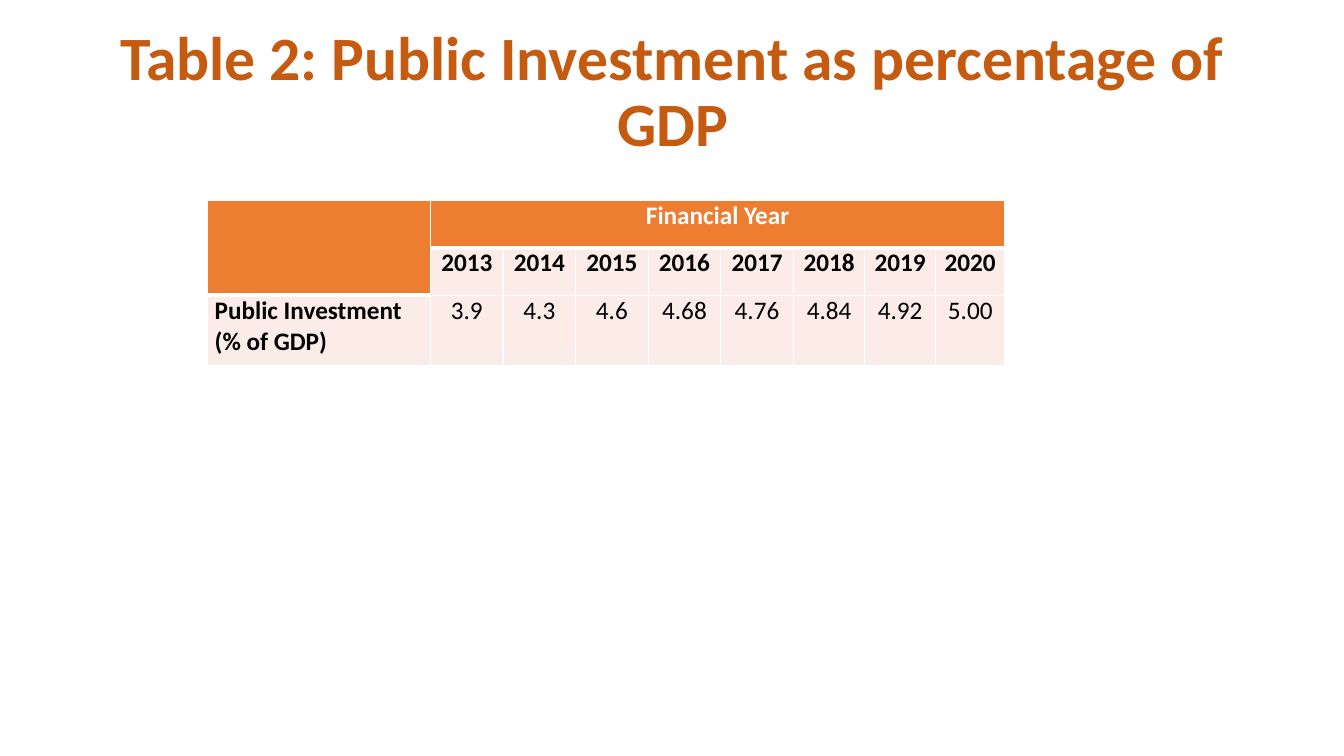
from pptx import Presentation
from pptx.dml.color import RGBColor
from pptx.enum.text import MSO_ANCHOR, MSO_AUTO_SIZE, PP_ALIGN
from pptx.oxml import parse_xml
from pptx.oxml.ns import nsdecls
from pptx.util import Inches, Pt

FONT = "Calibri"
COLORS = {
    "title": "C55A11",
    "header": "ED7D31",
    "band": "FCECE8",
    "white": "FFFFFF",
    "black": "000000",
}
YEARS = [str(year) for year in range(2013, 2021)]
INVESTMENT = ["3.9", "4.3", "4.6", "4.68", "4.76", "4.84", "4.92", "5.00"]
COL_WIDTHS = [2.21] + [0.72] * 5 + [0.71, 0.7, 0.69]
ROW_HEIGHTS = [0.47, 0.47, 0.7]


def rgb(name):
    return RGBColor.from_string(COLORS[name])


def format_text(tf, size, color, bold, align):
    p = tf.paragraphs[0]
    p.alignment = align
    for r in p.runs:
        r.font.name = FONT
        r.font.size = Pt(size)
        r.font.bold = bold
        r.font.color.rgb = rgb(color)


def add_title(s, text):
    title = s.shapes.title
    title.left, title.top = Inches(0.92), Inches(0.54)
    title.width, title.height = Inches(11.5), Inches(1.45)
    tf = title.text_frame
    tf.text = text
    tf.word_wrap = True
    tf.auto_size = MSO_AUTO_SIZE.NONE
    tf.vertical_anchor = MSO_ANCHOR.MIDDLE
    tf.margin_bottom = Inches(0.72)  # lifts the text above the table
    tf.paragraphs[0].line_spacing = 0.9
    format_text(tf, 44, "title", True, PP_ALIGN.CENTER)


def set_borders(cell, bottom):
    tcPr = cell._tc.get_or_add_tcPr()
    widths = {"lnL": 1, "lnR": 1, "lnT": 1, "lnB": bottom}
    for i, (side, width) in enumerate(widths.items()):
        tcPr.insert(i, parse_xml(
            f'<a:{side} {nsdecls("a")} w="{Pt(width)}"><a:solidFill>'
            f'<a:srgbClr val="{COLORS["white"]}"/></a:solidFill></a:{side}>'))


def fill_cell(cell, text, fill, color="black", bold=True,
              align=PP_ALIGN.CENTER, bottom=1):
    cell.fill.solid()
    cell.fill.fore_color.rgb = rgb(fill)
    cell.margin_left = cell.margin_right = Inches(0.07)
    cell.margin_top = cell.margin_bottom = 0
    cell.text_frame.text = text
    format_text(cell.text_frame, 18, color, bold, align)
    set_borders(cell, bottom)


def add_investment_table(s):
    frame = s.shapes.add_table(
        len(ROW_HEIGHTS), len(COL_WIDTHS), Inches(2.06), Inches(1.99),
        Inches(sum(COL_WIDTHS)), Inches(sum(ROW_HEIGHTS)))
    table = frame.table
    for column, width in zip(table.columns, COL_WIDTHS):
        column.width = Inches(width)
    for row, height in zip(table.rows, ROW_HEIGHTS):
        row.height = Inches(height)

    # Header row, with the corner and the year heading merged
    for c in range(len(COL_WIDTHS)):
        text = "Financial Year" if c == 1 else ""
        fill_cell(table.cell(0, c), text, "header", "white", bottom=3)
    fill_cell(table.cell(1, 0), "", "header", bottom=3)
    table.cell(0, 0).merge(table.cell(1, 0))
    table.cell(0, 1).merge(table.cell(0, len(YEARS)))

    # Years and values
    fill_cell(table.cell(2, 0), "Public Investment (% of GDP)", "band",
              align=PP_ALIGN.LEFT)
    for c, (year, value) in enumerate(zip(YEARS, INVESTMENT), 1):
        fill_cell(table.cell(1, c), year, "band")
        fill_cell(table.cell(2, c), value, "band", bold=False)


def main():
    prs = Presentation()
    prs.slide_width, prs.slide_height = Inches(13.33), Inches(7.5)
    s = prs.slides.add_slide(prs.slide_layouts[5])
    add_title(s, "Table 2: Public Investment as percentage of GDP")
    add_investment_table(s)
    prs.save("out.pptx")


main()
